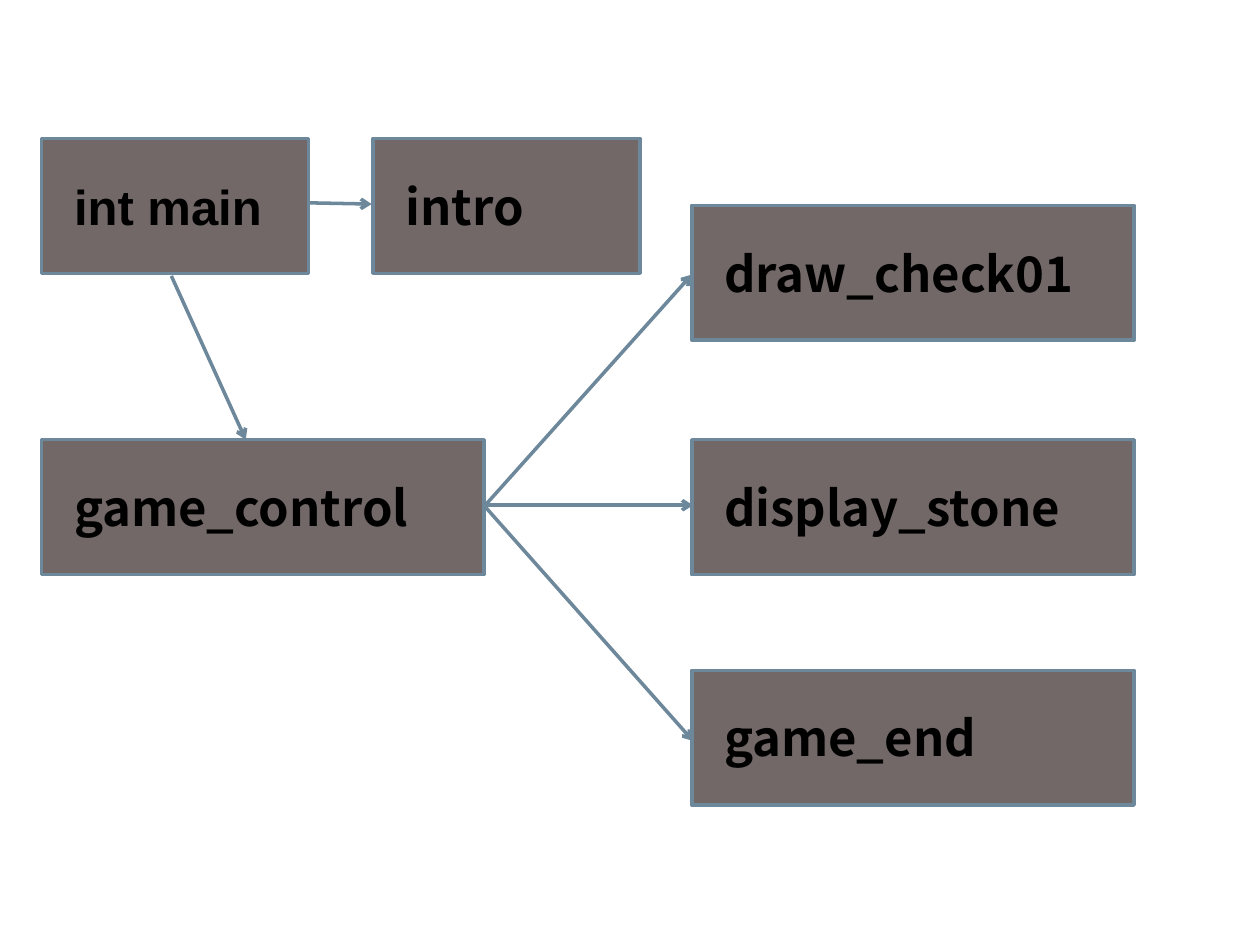
"""Build a call diagram of the functions in a board game program."""
from dataclasses import dataclass

import pptx
import pptx.dml.color
import pptx.enum.shapes
import pptx.oxml
import pptx.oxml.ns
import pptx.slide
import pptx.util

Inches = pptx.util.Inches
COLORS = {"fill": "726868", "line": "6D879B", "text": "000000"}
SANS = "Noto Sans CJK KR"
NARROW, WIDE, HEIGHT = 2.12, 3.51, 1.07
LABEL_WIDTHS = {NARROW: 1.81, WIDE: 3.0}
LEFT, MIDDLE, RIGHT = 0.33, 2.96, 5.49


@dataclass(frozen=True)
class FunctionBox:
    name: str
    left: float
    top: float
    width: float
    font: str = SANS


@dataclass(frozen=True)
class Call:
    start: tuple[float, float]
    end: tuple[float, float]


FUNCTIONS = [
    FunctionBox("int main", LEFT, 1.1, NARROW, "Arial"),
    FunctionBox("intro", MIDDLE, 1.1, NARROW),
    FunctionBox("game_control", LEFT, 3.49, WIDE),
    FunctionBox("draw_check01", RIGHT, 1.63, WIDE),
    FunctionBox("display_stone", RIGHT, 3.49, WIDE),
    FunctionBox("game_end", RIGHT, 5.32, WIDE),
]
CALLS = [
    Call((2.45, 1.61), (2.95, 1.62)),
    Call((1.36, 2.19), (1.95, 3.49)),
    Call((3.86, 4.0), (5.49, 2.18)),
    Call((3.84, 4.01), (5.5, 4.01)),
    Call((3.84, 4.01), (5.5, 5.88)),
]


def color(name: str) -> pptx.dml.color.RGBColor:
    """Return a named colour."""
    return pptx.dml.color.RGBColor.from_string(COLORS[name])


def draw_function(page: pptx.slide.Slide, function: FunctionBox) -> None:
    """Draw a function as a rectangle grouped with its label."""
    group = page.shapes.add_group_shape()
    box = group.shapes.add_shape(
        pptx.enum.shapes.MSO_SHAPE.RECTANGLE,
        Inches(function.left), Inches(function.top),
        Inches(function.width), Inches(HEIGHT),
    )
    box.shadow.inherit = False
    box.fill.solid()
    box.fill.fore_color.rgb = color("fill")
    box.line.color.rgb = color("line")
    box.line.width = pptx.util.Pt(2)

    label = group.shapes.add_textbox(
        Inches(function.left + 0.16), Inches(function.top + 0.25),
        Inches(LABEL_WIDTHS[function.width]), Inches(0.57),
    )
    label.text_frame.word_wrap = True
    para = label.text_frame.paragraphs[0]
    para.text = function.name
    para.font.name = function.font
    para.font.size = pptx.util.Pt(28)
    para.font.bold = True
    para.font.color.rgb = color("text")


def draw_call(page: pptx.slide.Slide, call: Call) -> None:
    """Draw a call as an arrow."""
    arrow = page.shapes.add_connector(
        pptx.enum.shapes.MSO_CONNECTOR.STRAIGHT,
        *(Inches(value) for value in call.start + call.end),
    )
    arrow.line.color.rgb = color("line")
    arrow.line.width = pptx.util.Pt(2)
    namespace = pptx.oxml.ns.nsdecls("a")
    arrow.line._get_or_add_ln().append(
        pptx.oxml.parse_xml(f'<a:tailEnd {namespace} type="arrow"/>')
    )
    arrow._element.spPr.append(pptx.oxml.parse_xml(f"<a:effectLst {namespace}/>"))


def main() -> None:
    """Build and save the deck."""
    deck = pptx.Presentation()
    deck.slide_width, deck.slide_height = Inches(10), Inches(7.5)
    page = deck.slides.add_slide(deck.slide_layouts[6])
    for function in FUNCTIONS:
        draw_function(page, function)
    for call in CALLS:
        draw_call(page, call)
    deck.save("out.pptx")


main()
